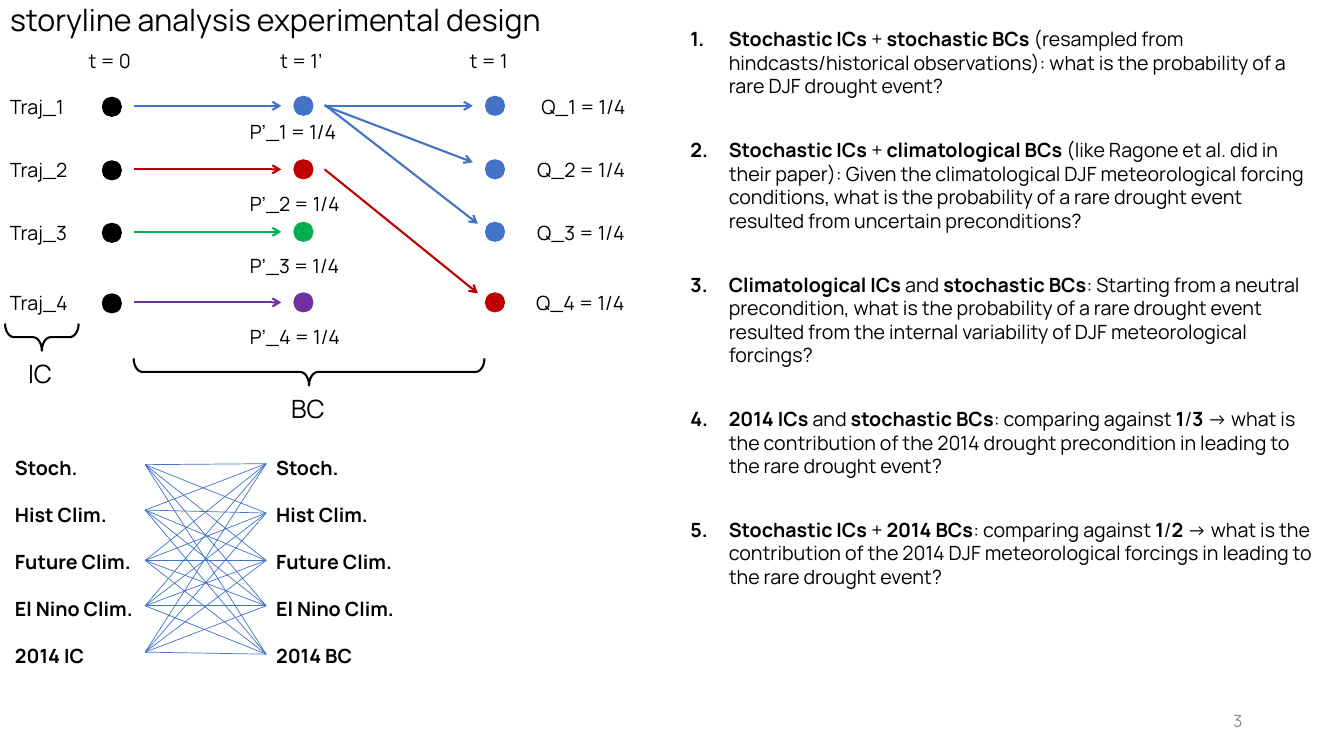
import dataclasses
import itertools

import pptx
import pptx.dml.color
import pptx.enum.shapes
import pptx.enum.text
import pptx.oxml
import pptx.oxml.ns
import pptx.util
from lxml import etree

Inches = pptx.util.Inches
Pt = pptx.util.Pt
qn = pptx.oxml.ns.qn
Color = pptx.dml.color.RGBColor.from_string
Shape = pptx.enum.shapes.MSO_SHAPE
Align = pptx.enum.text.PP_ALIGN
Anchor = pptx.enum.text.MSO_ANCHOR


@dataclasses.dataclass(frozen=True)
class Theme:
    face: str = "Manrope"
    black: str = "000000"
    gray: str = "8C8C8C"
    blue: str = "4472C4"
    red: str = "C00000"
    green: str = "00B050"
    purple: str = "7030A0"
    title: float = 21.6
    large: float = 18
    body: float = 14
    small: float = 12
    thick: float = 1.5
    thin: float = 0.5


THEME = Theme()
ROWS = [0.95, 1.58, 2.2, 2.9]  # tops of the dots
HUES = [THEME.blue, THEME.red, THEME.green, THEME.purple]
ENDS = [THEME.blue, THEME.blue, THEME.blue, THEME.red]
P_TOPS = [1.14, 1.86, 2.47, 3.17]
Q_LEFTS = [5.27, 5.23, 5.23, 5.22]
FANS = [
    (1.05, 4.69, 1.05, THEME.blue),
    (1.05, 4.69, 1.61, THEME.blue),
    (1.04, 4.74, 2.22, THEME.blue),
    (1.68, 4.74, 2.91, THEME.red),
]
IC_ENDS = [4.61, 5.06, 5.56, 6.01, 6.47]
BC_ENDS = [4.6, 5.09, 5.56, 6.01, 6.49]
CASES = ["Stoch.", "Hist Clim.", "Future Clim.", "El Nino Clim."]
# Text between asterisks is bold.
ITEMS = [
    "*Stochastic ICs *+ *stochastic BCs *(resampled from hindcasts/historical "
    "observations): what is the probability of a rare DJF drought event?",
    "*Stochastic ICs *+ *climatological BCs* (like Ragone et al. did in their "
    "paper): Given the climatological DJF meteorological forcing conditions, what "
    "is the probability of a rare drought event resulted from uncertain "
    "preconditions?",
    "*Climatological ICs *and *stochastic BCs*: Starting from a neutral "
    "precondition, what is the probability of a rare drought event resulted from "
    "the internal variability of DJF meteorological forcings?",
    "*2014 ICs *and *stochastic BCs*: comparing against *1*/*3 *-> what is the "
    "contribution of the 2014 drought precondition in leading to the rare drought "
    "event?",
    "*Stochastic ICs *+ *2014 BCs*: comparing against *1*/*2* -> what is the "
    "contribution of the 2014 DJF meteorological forcings in leading to the rare "
    "drought event?",
]


def style(para, size, color=THEME.black, bold=None):
    font = para.font
    font.name, font.size, font.bold = THEME.face, Pt(size), bold
    font.color.rgb = Color(color)


def frame(slide, left, top, width, height):
    """Add a wrapping text box and return its text frame."""
    box = slide.shapes.add_textbox(
        Inches(left), Inches(top), Inches(width), Inches(height))
    box.text_frame.word_wrap = True
    return box.text_frame


def label(slide, text, left, top, width, size=THEME.body):
    height = 0.4 if size == THEME.large else 0.34
    para = frame(slide, left, top, width, height).paragraphs[0]
    para.text = text
    style(para, size)


def dot(slide, left, top, color):
    shape = slide.shapes.add_shape(
        Shape.OVAL, Inches(left), Inches(top), Inches(0.2), Inches(0.2))
    shape.shadow.inherit = False
    shape.fill.solid()
    shape.fill.fore_color.rgb = Color(color)
    shape.line.fill.background()


def brace(slide, left, top, width, height):
    """Add a brace that a quarter turn makes point down."""
    shape = slide.shapes.add_shape(
        Shape.RIGHT_BRACE, Inches(left), Inches(top), Inches(width), Inches(height))
    shape.rotation = 90
    shape.adjustments[0] = 0.325
    shape.shadow.inherit = False
    shape.fill.background()
    shape.line.color.rgb = Color(THEME.black)
    shape.line.width = Pt(THEME.thick)


def line(slide, start, end, color, width=THEME.thick, arrow=True):
    link = slide.shapes.add_connector(
        pptx.enum.shapes.MSO_CONNECTOR.STRAIGHT,
        *(Inches(value) for value in start + end))
    link.line.color.rgb = Color(color)
    link.line.width = Pt(width)
    props = link.element.spPr
    if arrow:
        etree.SubElement(props.find(qn("a:ln")), qn("a:tailEnd"), type="arrow")
    etree.SubElement(props, qn("a:effectLst"))


def column(slide, left, names):
    text = frame(slide, left, 4.47, 2.08, 2.3)
    for pos, name in enumerate(names):
        para = text.paragraphs[0] if pos == 0 else text.add_paragraph()
        para.text = name
        para.space_after = Pt(16.8)
        style(para, THEME.body, bold=True)


def listing(slide, items):
    text = frame(slide, 6.75, 0.22, 6.4, 6.04)
    for pos, item in enumerate(items):
        para = text.paragraphs[0] if pos == 0 else text.add_paragraph()
        props = para._p.get_or_add_pPr()
        props.set("marL", str(Inches(0.38)))
        props.set("indent", str(-Inches(0.38)))
        etree.SubElement(props, qn("a:buFont"), typeface="+mj-lt")
        etree.SubElement(props, qn("a:buAutoNum"), type="arabicPeriod")
        para.space_after = Pt(28.8)
        style(para, THEME.body)
        for turn, part in enumerate(item.split("*")):
            if part:
                run = para.add_run()
                run.text = part
                run.font.bold = turn % 2 == 1


def heading(slide, text):
    title = slide.shapes.title
    title.left, title.top = Inches(0), Inches(0)
    title.width, title.height = Inches(7.23), Inches(0.44)
    title.text_frame.auto_size = pptx.enum.text.MSO_AUTO_SIZE.NONE
    title.text_frame.vertical_anchor = Anchor.MIDDLE
    para = title.text_frame.paragraphs[0]
    para.text = text
    para.alignment = Align.LEFT
    para.line_spacing = 0.9
    style(para, THEME.title)


def number(slide, text):
    box = frame(slide, 9.42, 6.95, 3, 0.4)
    box.vertical_anchor = Anchor.MIDDLE
    para = box.paragraphs[0]
    para.text = text
    para.alignment = Align.RIGHT
    style(para, THEME.small, THEME.gray)


def paths(slide):
    """Draw the trajectories from the first time to the last."""
    for text, left in (("t = 0", 0.78), ("t = 1’", 2.68), ("t = 1", 4.56)):
        label(slide, text, left, 0.44, 0.67)
    rows = zip(ROWS, HUES, ENDS, P_TOPS, Q_LEFTS)
    for num, (top, hue, end, below, side) in enumerate(rows, 1):
        label(slide, f"Traj_{num}", 0, top - 0.06, 0.87)
        dot(slide, 1.01, top + 0.01, THEME.black)
        line(slide, (1.33, top + 0.1), (2.79, top + 0.1), hue)
        dot(slide, 2.91, top, hue)
        label(slide, f"P’_{num} = 1/4", 2.38, below, 1.21)
        dot(slide, 4.81, top, end)
        label(slide, f"Q_{num} = 1/4", side, top - 0.06, 1.22)
    for start, right, end, hue in FANS:
        line(slide, (3.22, start), (right, end), hue)
    brace(slide, 0.28, 2.98, 0.27, 0.73)
    label(slide, "IC", 0.18, 3.51, 0.47, THEME.large)
    brace(slide, 2.93, 1.95, 0.27, 3.48)
    label(slide, "BC", 2.79, 3.85, 0.6, THEME.large)


def main():
    deck = pptx.Presentation()
    deck.slide_width, deck.slide_height = Inches(13.33), Inches(7.5)
    slide = deck.slides.add_slide(deck.slide_layouts[5])
    heading(slide, "storyline analysis experimental design")
    paths(slide)
    listing(slide, ITEMS)
    column(slide, 0.05, CASES + ["2014 IC"])
    column(slide, 2.64, CASES + ["2014 BC"])
    for start, end in itertools.product(IC_ENDS, BC_ENDS):
        line(slide, (1.44, start), (2.64, end), THEME.blue, THEME.thin, False)
    number(slide, "3")
    deck.save("out.pptx")


if __name__ == "__main__":
    main()
